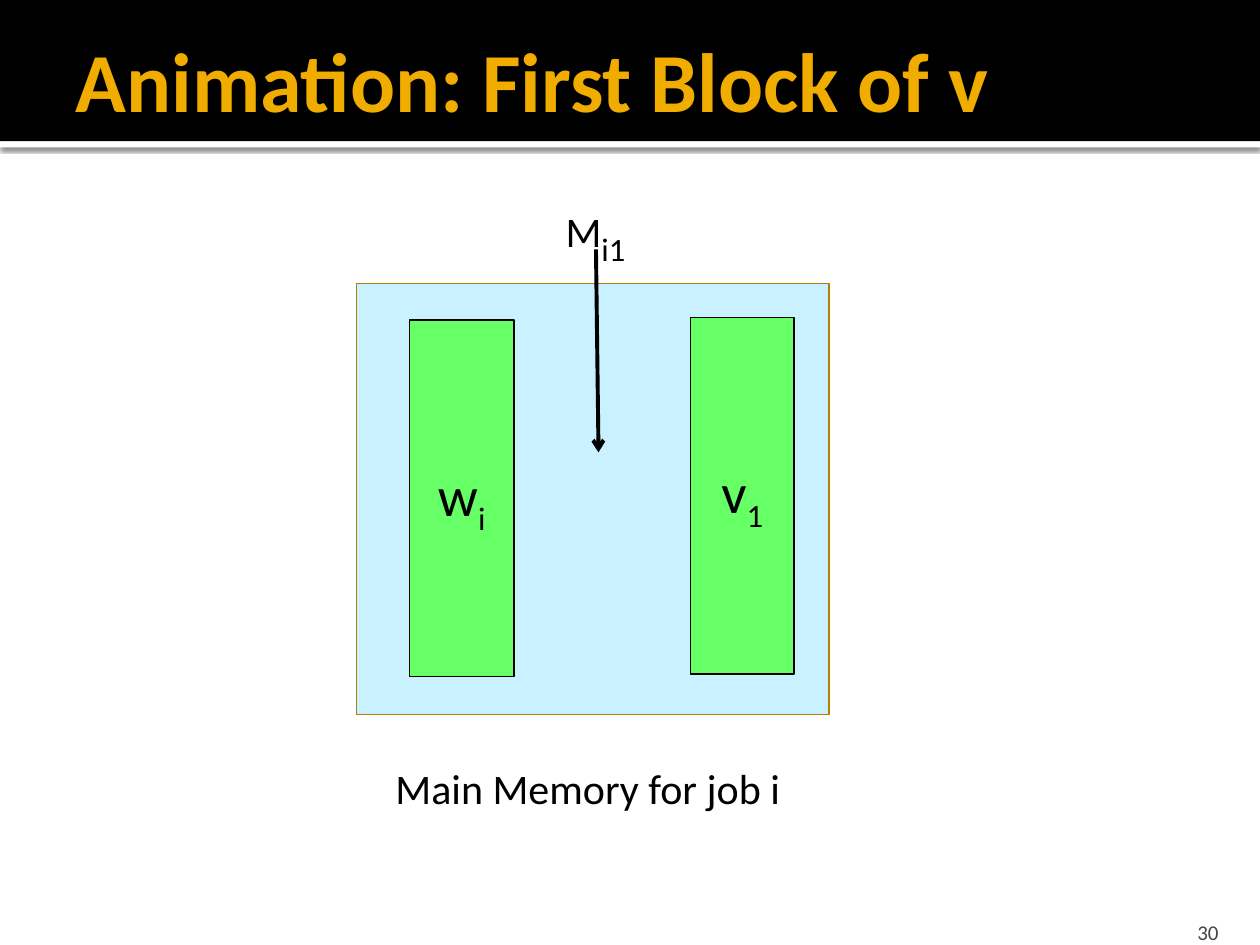
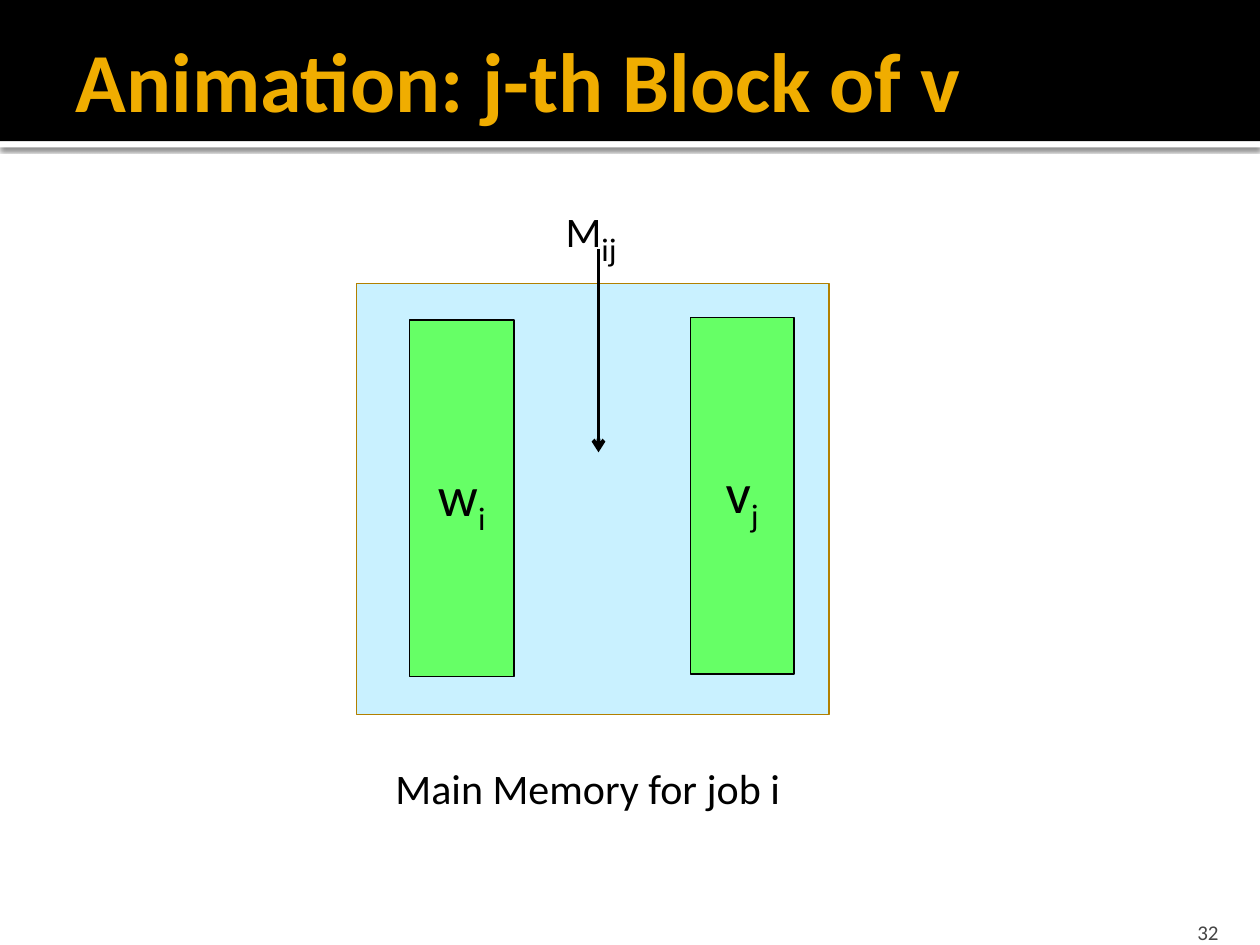
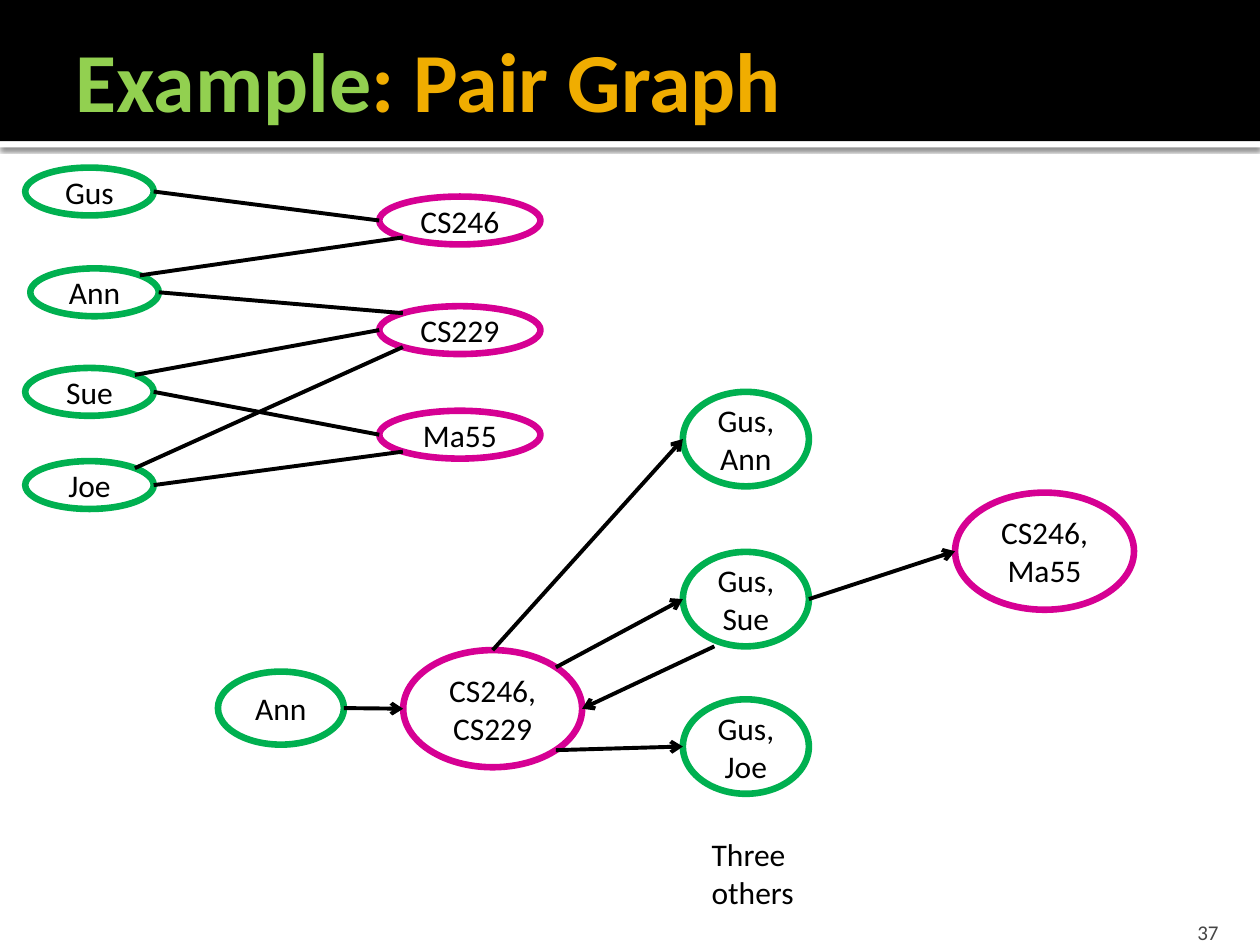
from math import cos, pi, sin

from lxml.etree import SubElement
from pptx import Presentation
from pptx.dml.color import RGBColor
from pptx.enum.shapes import MSO_CONNECTOR as Connector, MSO_SHAPE as Shape
from pptx.enum.text import MSO_ANCHOR as Anchor, MSO_AUTO_SIZE as Fit, PP_ALIGN as Align
from pptx.oxml.ns import qn
from pptx.util import Inches, Pt

COLOURS = {
    "black": "000000", "white": "FFFFFF", "gold": "F0AD00", "lime": "92D050",
    "grey": "454545", "memory": "C9F1FF", "memory_edge": "B28000",
    "block": "66FF66", "person": "00B050", "course": "D60093",
}
SITES = {"top": 0, "top_left": 1, "left": 2, "bottom_left": 3,
         "bottom": 4, "bottom_right": 5, "right": 6, "top_right": 7}


def colour(name):
    """Return the named colour."""
    return RGBColor.from_string(COLOURS[name])


def site_point(oval, site):
    """Return the place of a connection site on an oval."""
    angle = SITES[site] * pi / 4
    x = oval.left + oval.width / 2 * (1 - sin(angle))
    y = oval.top + oval.height / 2 * (1 - cos(angle))
    return round(x), round(y)


class Lecture:
    """Holds the deck, its style and the current page."""

    font = "Calibri"

    def __init__(self):
        """Start the deck."""
        self.deck = Presentation()
        self.deck.slide_width, self.deck.slide_height = Inches(10), Inches(7.5)
        self.page = None

    def add_page(self, title, number):
        """Add a page with a title of (text, colour) pairs and a number."""
        self.page = self.deck.slides.add_slide(self.deck.slide_layouts[5])
        if len(self.deck.slides) == 1:
            self.add_bands()
        box = self.page.shapes.title
        box.left, box.top, box.width, box.height = map(Inches, (0.5, 0.17, 9.5, 0.92))
        frame = box.text_frame
        frame.auto_size = Fit.NONE
        frame.vertical_anchor = Anchor.MIDDLE
        frame.margin_left = Inches(0.1)
        frame.margin_right = frame.margin_top = frame.margin_bottom = Inches(0.05)
        para = frame.paragraphs[0]
        para.alignment = Align.LEFT
        for text, shade in title:
            self.add_span(para, text, 48, shade, bold=True)
        self.add_number(number)

    def add_bands(self):
        """Put the title band and its shadowed edge on the master."""
        edge = self.add_shape(Shape.RECTANGLE, (0, 1.12, 10, 0.05), "white")
        effects = edge.element.spPr.find(qn("a:effectLst"))
        shadow = SubElement(effects, qn("a:outerShdw"), blurRad=str(Pt(2.5)),
                            dist=str(Pt(0.8)), dir="5400000", rotWithShape="0")
        shade = SubElement(shadow, qn("a:srgbClr"), val=COLOURS["black"])
        SubElement(shade, qn("a:alpha"), val="60000")
        band = self.add_shape(Shape.RECTANGLE, (0, 0, 10, 1.12), "black")
        tree = self.deck.slide_master.element.cSld.spTree
        for index, shape in enumerate((edge, band), start=2):
            tree.insert(index, shape.element)

    def add_number(self, number):
        """Add the page number."""
        box = self.page.shapes.add_textbox(*map(Inches, (8.97, 7.2, 0.8, 0.3)))
        frame = box.text_frame
        frame.word_wrap = True
        frame.vertical_anchor = Anchor.BOTTOM
        frame.margin_bottom = 0
        para = frame.paragraphs[0]
        para.alignment = Align.RIGHT
        self.add_span(para, str(number), 12, "grey")

    def add_span(self, para, text, size, shade="black", bold=False, low=False):
        """Add one run, lowered when it is a subscript."""
        span = para.add_run()
        span.text = text
        span.font.name, span.font.size = self.font, Pt(size)
        span.font.bold = bold
        span.font.color.rgb = colour(shade)
        if low:
            span.font._element.set("baseline", "-25000")

    def add_shape(self, kind, place, fill=None, edge=None, weight=1):
        """Add a flat preset shape."""
        shape = self.page.shapes.add_shape(kind, *map(Inches, place))
        shape.shadow.inherit = False
        if fill:
            shape.fill.solid()
            shape.fill.fore_color.rgb = colour(fill)
        else:
            shape.fill.background()
        if edge:
            shape.line.color.rgb = colour(edge)
            shape.line.width = Pt(weight)
        else:
            shape.line.fill.background()
        return shape

    def add_block(self, place, letter, index):
        """Add a vector block named by a letter and its index."""
        block = self.add_shape(Shape.RECTANGLE, place, "block", "black")
        block.text_frame.vertical_anchor = Anchor.MIDDLE
        para = block.text_frame.paragraphs[0]
        para.alignment = Align.CENTER
        self.add_span(para, letter, 32)
        self.add_span(para, index, 32, low=True)

    def add_oval(self, place, kind, *lines):
        """Add an outlined graph node."""
        oval = self.add_shape(Shape.OVAL, place, edge=kind, weight=3.78)
        oval.text_frame.vertical_anchor = Anchor.MIDDLE
        para = oval.text_frame.paragraphs[0]
        para.alignment = Align.CENTER
        for index, text in enumerate(lines):
            if index:
                para.add_line_break()
            self.add_span(para, text, 18)
        return oval

    def add_label(self, place, size, *lines):
        """Add a free label, one paragraph a line."""
        box = self.page.shapes.add_textbox(*map(Inches, place))
        frame = box.text_frame
        frame.word_wrap = False
        frame.auto_size = Fit.SHAPE_TO_FIT_TEXT
        for index, text in enumerate(lines):
            para = frame.add_paragraph() if index else frame.paragraphs[0]
            self.add_span(para, text, size)
        return box

    def add_line(self, start, end, arrow=False):
        """Draw a straight line between two points."""
        line = self.page.shapes.add_connector(Connector.STRAIGHT, *start, *end)
        line.line.color.rgb = colour("black")
        line.line.width = Pt(2.25)
        properties = line.element.spPr
        if arrow:
            SubElement(properties.find(qn("a:ln")), qn("a:tailEnd"), type="arrow")
        SubElement(properties, qn("a:effectLst"))
        return line

    def add_link(self, source, source_site, target, target_site, arrow=False):
        """Join two ovals at their named sites."""
        line = self.add_line(site_point(source, source_site),
                             site_point(target, target_site), arrow)
        joints = line.element.find(".//" + qn("p:cNvCxnSpPr"))
        for tag, oval, site in (("a:stCxn", source, source_site),
                                ("a:endCxn", target, target_site)):
            SubElement(joints, qn(tag), id=str(oval.shape_id), idx=str(SITES[site]))


def add_memory_page(lecture, title, number, column, label_width, arrow_left):
    """Show the matrix block and the vector blocks held in memory."""
    lecture.add_page([(title, "gold")], number)
    lecture.add_shape(Shape.RECTANGLE, (2.83, 2.25, 3.75, 3.42), "memory", "memory_edge")
    lecture.add_label((3.04, 6, 3.26, 0.5), 24, "Main Memory for job i")
    lecture.add_block((3.25, 2.54, 0.83, 2.83), "w", "i")
    lecture.add_block((5.48, 2.52, 0.82, 2.83), "v", column)
    matrix = lecture.add_label((4.39, 1.47, label_width, 0.5), 24, "M")
    lecture.add_span(matrix.text_frame.paragraphs[0], "i" + column, 32, low=True)
    lecture.add_line((Inches(arrow_left), Inches(1.98)),
                     (Inches(4.75), Inches(3.59)), arrow=True)


def add_graph_page(lecture):
    """Show the enrolment graph and its pair graph."""
    lecture.add_page([("Example", "lime"), (": Pair Graph", "gold")], 37)
    people = {name: lecture.add_oval((left, top, 1.02, 0.38), "person", name)
              for name, left, top in (("Gus", 0.2, 1.33), ("Ann", 0.24, 2.13),
                                      ("Sue", 0.2, 2.92), ("Joe", 0.2, 3.66))}
    courses = {name: lecture.add_oval((3.01, top, 1.28, 0.38), "course", name)
               for name, top in (("CS246", 1.56), ("CS229", 2.43), ("Ma55", 3.26))}
    for person, person_site, course, course_site in (
            ("Gus", "right", "CS246", "left"),
            ("Ann", "top_right", "CS246", "bottom_left"),
            ("Ann", "right", "CS229", "top_left"),
            ("Sue", "top_right", "CS229", "left"),
            ("Sue", "right", "Ma55", "left"),
            ("Joe", "top_right", "CS229", "bottom_left"),
            ("Joe", "right", "Ma55", "bottom_left")):
        lecture.add_link(people[person], person_site, courses[course], course_site)

    ann = lecture.add_oval((1.73, 5.33, 1, 0.58), "person", "Ann")
    hub = lecture.add_oval((3.2, 5.16, 1.42, 0.93), "course", "CS246,", "CS229")
    lecture.add_link(ann, "right", hub, "left", arrow=True)
    pairs = {}
    for partner, top, hub_site in (("Ann", 3.11, "top"), ("Sue", 4.38, "top_right"),
                                   ("Joe", 5.55, "bottom_right")):
        pairs[partner] = lecture.add_oval((5.42, top, 1, 0.75), "person", "Gus, " + partner)
        lecture.add_link(hub, hub_site, pairs[partner], "left", arrow=True)
    lecture.add_label((5.55, 6.58, 0.87, 0.71), 18, "Three", "others")
    final = lecture.add_oval((7.58, 3.91, 1.42, 0.93), "course", "CS246,", "Ma55")
    lecture.add_line((Inches(5.67), Inches(5.13)), site_point(hub, "right"), arrow=True)
    lecture.add_link(pairs["Sue"], "right", final, "left", arrow=True)


def main():
    """Build and save the deck."""
    lecture = Lecture()
    add_memory_page(lecture, "Animation: First Block of v", 30, "1", 0.68, 4.73)
    add_memory_page(lecture, "Animation: j-th Block of v", 32, "j", 0.62, 4.75)
    add_graph_page(lecture)
    lecture.deck.save("out.pptx")


if __name__ == "__main__":
    main()
